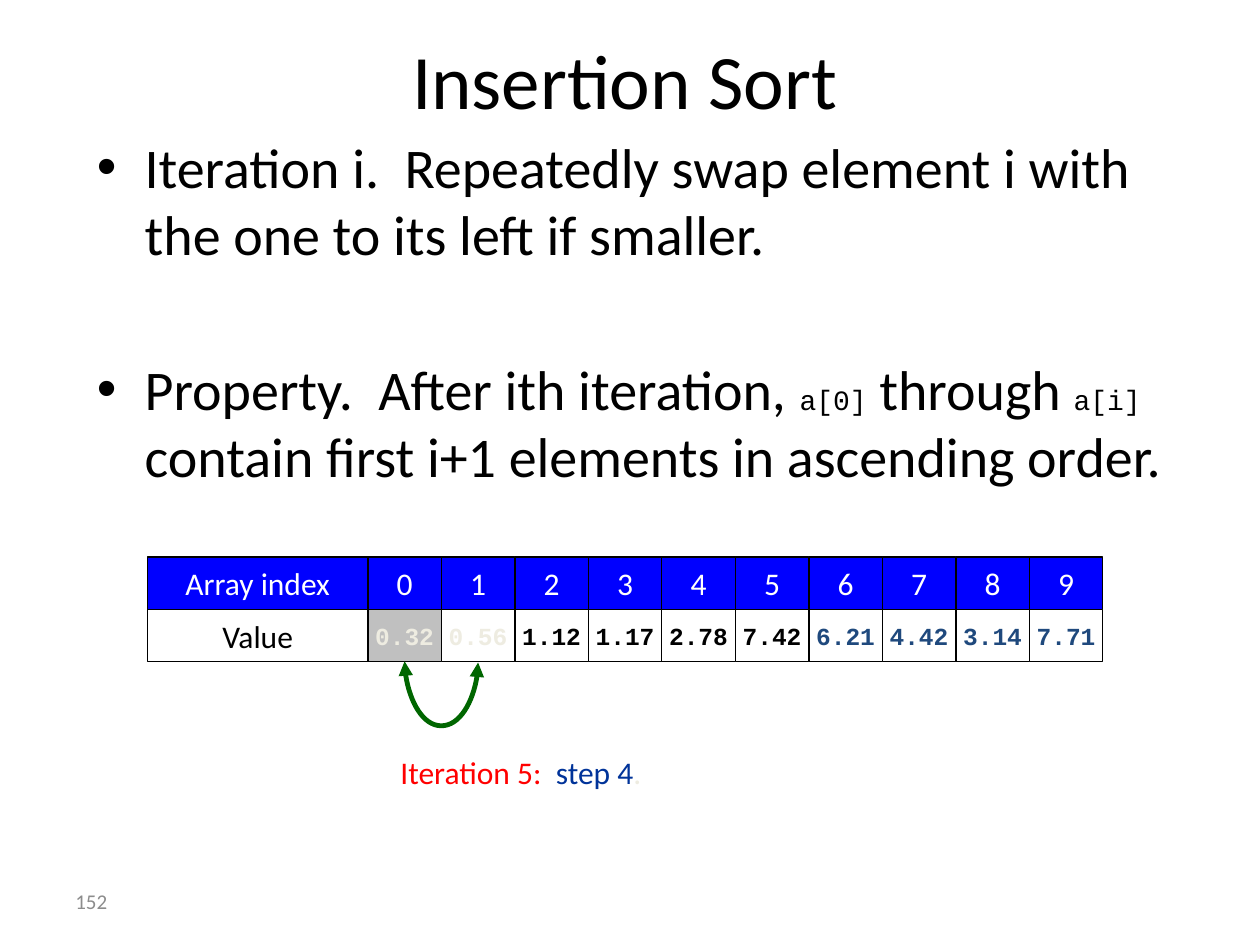
from lxml import etree
from pptx import Presentation
from pptx.dml.color import RGBColor
from pptx.enum.shapes import MSO_CONNECTOR, MSO_SHAPE
from pptx.enum.text import MSO_ANCHOR, PP_ALIGN
from pptx.oxml.ns import qn
from pptx.util import Inches, Pt


def rgb(color):
    return RGBColor.from_string(color)


def add_run(p, text, size, color="000000", font="Calibri", bold=False):
    r = p.add_run()
    r.text = text
    r.font.size = Pt(size)
    r.font.name = font
    r.font.bold = bold
    r.font.color.rgb = rgb(color)


prs = Presentation()
prs.slide_width, prs.slide_height = Inches(10), Inches(7.5)
s = prs.slides.add_slide(prs.slide_layouts[6])

# Title, body, caption and slide number
texts = [
    ((0.46, 0, 9, 1.25), MSO_ANCHOR.MIDDLE, PP_ALIGN.CENTER,
     [[("Insertion Sort", 44)]]),
    ((0.67, 1, 8.83, 5.92), MSO_ANCHOR.TOP, PP_ALIGN.LEFT,
     [[("Iteration i.  Repeatedly swap element i with the one to its left if smaller.", 32)],
      [("Property.  After ith iteration, ", 32),
       ("a[0]", 16, "000000", "Courier New"),
       (" through ", 32),
       ("a[i]", 16, "000000", "Courier New"),
       (" contain first i+1 elements in ascending order.", 32)]]),
    ((3.08, 5.93, 4.08, 0.4), MSO_ANCHOR.TOP, PP_ALIGN.LEFT,
     [[("Iteration 5:  ", 18, "FF0000"), ("step 4", 18, "003399"), (".", 18, "EEECE1")]]),
    ((0.5, 6.95, 2.33, 0.4), MSO_ANCHOR.MIDDLE, PP_ALIGN.LEFT,
     [[("152", 12, "8C8C8C")]]),
]
for box, anchor, align, paragraphs in texts:
    tf = s.shapes.add_textbox(*map(Inches, box)).text_frame
    tf.word_wrap = True
    tf.vertical_anchor = anchor
    for i, runs in enumerate(paragraphs):
        p = tf.paragraphs[0] if i == 0 else tf.add_paragraph()
        p.alignment = align
        if len(paragraphs) > 1:
            pPr = p._p.get_or_add_pPr()
            pPr.set("marL", str(Inches(0.38)))
            pPr.set("indent", str(-Inches(0.38)))
            etree.SubElement(pPr, qn("a:buFont"), typeface="Arial")
            etree.SubElement(pPr, qn("a:buChar"), char="•")
        if i > 0:
            p.space_before = Pt(50)
        for run in runs:
            add_run(p, *run)

# Array: index row over value row
values = ["0.32", "0.56", "1.12", "1.17", "2.78", "7.42", "6.21", "4.42", "3.14", "7.71"]
value_colors = ["EEECE1"] * 2 + ["000000"] * 4 + ["1F497D"] * 4
label_w, cell_w, cell_h = 1.75, 7 / 12, 5 / 12
left, top = 1.17, 4.42

cells = [(0, 0, "0000FF", ("Array index", 18, "FFFFFF")),
         (1, 0, "FFFFFF", ("Value", 18))]
for i, (value, color) in enumerate(zip(values, value_colors)):
    fill = "C0C0C0" if i == 0 else "FFFFFF"
    cells.append((0, i + 1, "0000FF", (str(i), 18, "FFFFFF")))
    cells.append((1, i + 1, fill, (value, 14, color, "Courier New", True)))

for row, col, fill, run in cells:
    x = left + (label_w + (col - 1) * cell_w if col else 0)
    sp = s.shapes.add_shape(MSO_SHAPE.RECTANGLE, Inches(x), Inches(top + row * cell_h),
                            Inches(cell_w if col else label_w), Inches(cell_h))
    sp.shadow.inherit = False
    sp.fill.solid()
    sp.fill.fore_color.rgb = rgb(fill)
    sp.line.color.rgb = rgb("000000")
    sp.line.width = Pt(0.75)
    tf = sp.text_frame
    tf.word_wrap = False
    tf.vertical_anchor = MSO_ANCHOR.MIDDLE
    p = tf.paragraphs[0]
    p.alignment = PP_ALIGN.CENTER
    add_run(p, *run)

# Swap arrow: a thin curved connector turned on its side, bulging downwards
mid_x, mid_y = left + label_w + cell_w, top + 2 * cell_h
thin, depth = 0.01, 0.52
swap = s.shapes.add_connector(
    MSO_CONNECTOR.CURVE,
    Inches(mid_x - thin / 2), Inches(mid_y - cell_w / 2),
    Inches(mid_x + thin / 2), Inches(mid_y + cell_w / 2))
swap.line.color.rgb = rgb("006600")
swap.line.width = Pt(2.75)
spPr = swap._element.spPr
xfrm = spPr.find(qn("a:xfrm"))
xfrm.set("rot", str(270 * 60000))
xfrm.set("flipH", "1")
geom = spPr.find(qn("a:prstGeom"))
guides = geom.find(qn("a:avLst"))
if guides is None:
    guides = etree.SubElement(geom, qn("a:avLst"))
etree.SubElement(guides, qn("a:gd"), name="adj1", fmla=f"val {round(depth / thin * 100000)}")
ln = spPr.find(qn("a:ln"))
for end in ("a:headEnd", "a:tailEnd"):
    etree.SubElement(ln, qn(end), type="triangle")
etree.SubElement(spPr, qn("a:effectLst"))

prs.save("out.pptx")
